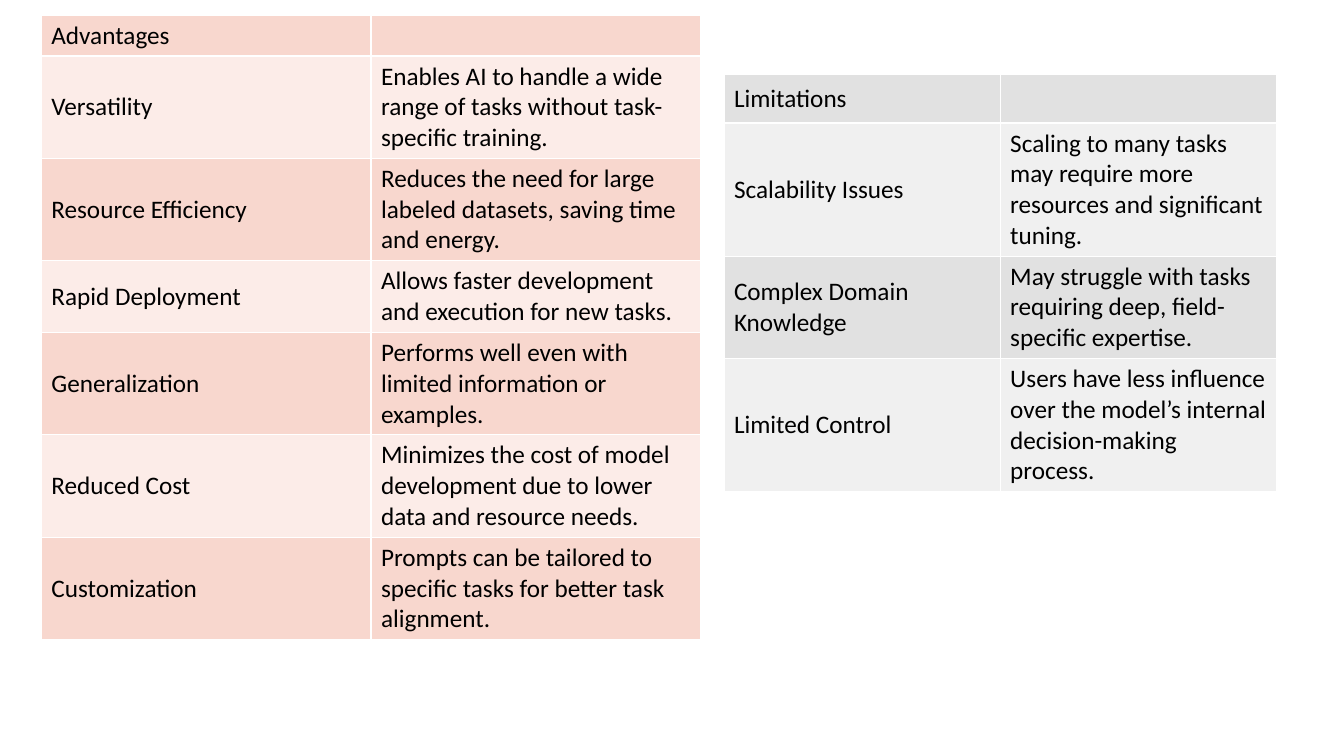
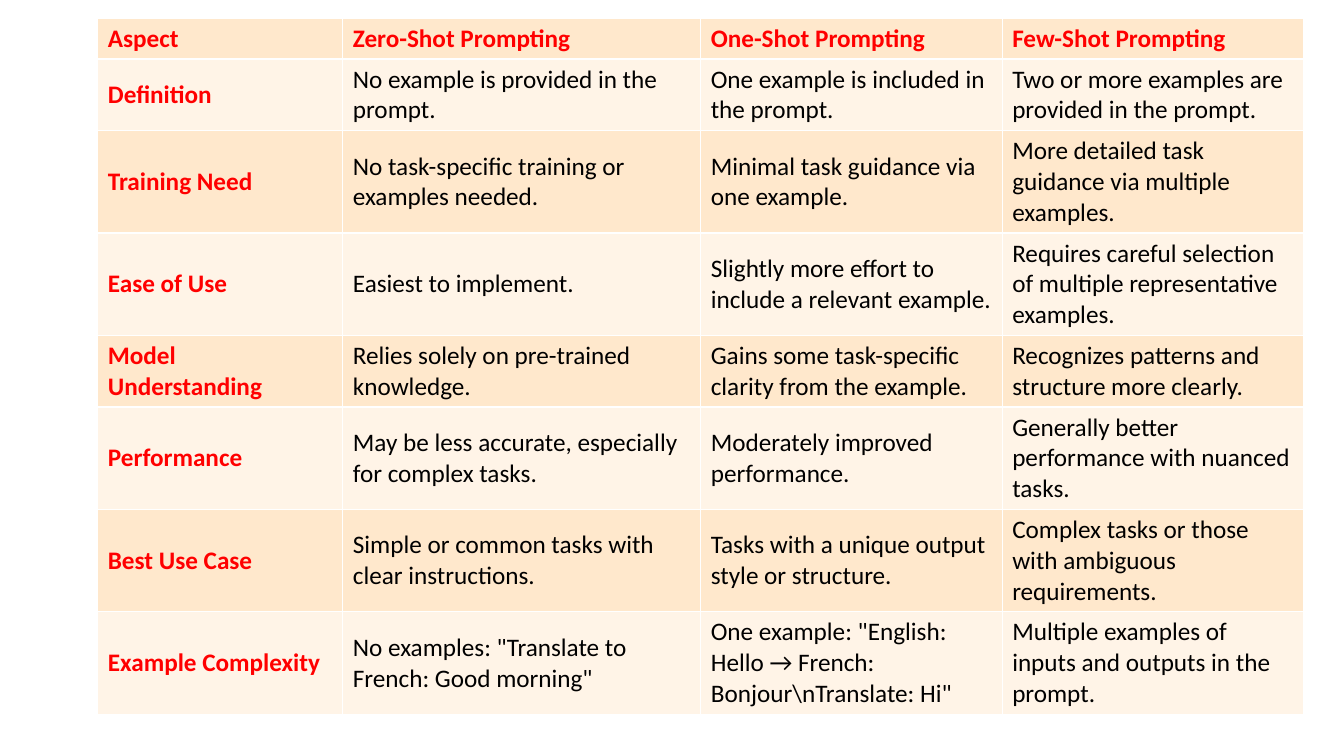
from dataclasses import dataclass

from lxml.etree import SubElement
from pptx import Presentation
from pptx.dml.color import RGBColor
from pptx.enum.text import MSO_ANCHOR
from pptx.oxml.ns import qn
from pptx.util import Inches, Pt

FONT = "Calibri"
BLACK, WHITE, RED = "000000", "FFFFFF", "FF0000"
BORDER_WIDTH = Pt(0.96)


@dataclass(frozen=True)
class TableData:
    left: float
    top: float
    columns: tuple[float, ...]
    heights: tuple[float, ...]
    bands: tuple[str, str]
    rows: tuple[tuple[str, ...], ...]
    red_labels: bool = False


ADVANTAGES = TableData(
    left=0.41, top=0.15,
    columns=(3.27, 3.27),
    heights=(0.4, 1, 1, 0.7, 1, 1, 1),
    bands=("F8D7CE", "FCECE8"),
    rows=(
        ("Advantages", ""),
        ("Versatility",
         "Enables AI to handle a wide range of tasks without task-specific training."),
        ("Resource Efficiency",
         "Reduces the need for large labeled datasets, saving time and energy."),
        ("Rapid Deployment",
         "Allows faster development and execution for new tasks."),
        ("Generalization",
         "Performs well even with limited information or examples."),
        ("Reduced Cost",
         "Minimizes the cost of model development due to lower data and resource needs."),
        ("Customization",
         "Prompts can be tailored to specific tasks for better task alignment."),
    ),
)

LIMITATIONS = TableData(
    left=7.18, top=0.74,
    columns=(2.74, 2.74),
    heights=(0.48, 1.3, 1, 1.3),
    bands=("E1E1E1", "F0F0F0"),
    rows=(
        ("Limitations", ""),
        ("Scalability Issues",
         "Scaling to many tasks may require more resources and significant tuning."),
        ("Complex Domain Knowledge",
         "May struggle with tasks requiring deep, field-specific expertise."),
        ("Limited Control",
         "Users have less influence over the model’s internal decision-making process."),
    ),
)

COMPARISON = TableData(
    left=0.97, top=0.18,
    columns=(2.43, 3.55, 2.99, 2.99),
    heights=(0.4, 0.7, 1, 1, 0.7, 1, 1, 1),
    bands=("FFE8CC", "FFF4E7"),
    red_labels=True,
    rows=(
        ("Aspect", "Zero-Shot Prompting", "One-Shot Prompting", "Few-Shot Prompting"),
        ("Definition",
         "No example is provided in the prompt.",
         "One example is included in the prompt.",
         "Two or more examples are provided in the prompt."),
        ("Training Need",
         "No task-specific training or examples needed.",
         "Minimal task guidance via one example.",
         "More detailed task guidance via multiple examples."),
        ("Ease of Use",
         "Easiest to implement.",
         "Slightly more effort to include a relevant example.",
         "Requires careful selection of multiple representative examples."),
        ("Model Understanding",
         "Relies solely on pre-trained knowledge.",
         "Gains some task-specific clarity from the example.",
         "Recognizes patterns and structure more clearly."),
        ("Performance",
         "May be less accurate, especially for complex tasks.",
         "Moderately improved performance.",
         "Generally better performance with nuanced tasks."),
        ("Best Use Case",
         "Simple or common tasks with clear instructions.",
         "Tasks with a unique output style or structure.",
         "Complex tasks or those with ambiguous requirements."),
        ("Example Complexity",
         'No examples: "Translate to French: Good morning"',
         'One example: "English: Hello → French: Bonjour\\nTranslate: Hi"',
         "Multiple examples of inputs and outputs in the prompt."),
    ),
)

SLIDES = ((ADVANTAGES, LIMITATIONS), (COMPARISON,))


def rgb(color: str) -> RGBColor:
    return RGBColor.from_string(color)


def write_text(tf, text: str, *, size: float = 18, color: str = BLACK,
               bold: bool = False) -> None:
    p = tf.paragraphs[0]
    p.font.size = Pt(size)
    if text:
        r = p.add_run()
        r.text = text
        r.font.name, r.font.size, r.font.bold = FONT, Pt(size), bold
        r.font.color.rgb = rgb(color)


def add_borders(cell, color: str = WHITE) -> None:
    tc_pr = cell._tc.get_or_add_tcPr()
    for side in ("L", "R", "T", "B"):
        line = SubElement(tc_pr, qn(f"a:ln{side}"), w=str(BORDER_WIDTH))
        fill = SubElement(line, qn("a:solidFill"))
        SubElement(fill, qn("a:srgbClr"), val=color)


def draw_table(s, data: TableData) -> None:
    """Draw a table whose rows alternate between the two band colours."""
    table = s.shapes.add_table(
        len(data.rows), len(data.columns), Inches(data.left), Inches(data.top),
        Inches(sum(data.columns)), Inches(sum(data.heights))).table
    table.first_row = table.horz_banding = False
    for column, width in zip(table.columns, data.columns):
        column.width = Inches(width)
    for i, (height, texts) in enumerate(zip(data.heights, data.rows)):
        table.rows[i].height = Inches(height)
        for j, text in enumerate(texts):
            cell = table.cell(i, j)
            add_borders(cell)
            cell.fill.solid()
            cell.fill.fore_color.rgb = rgb(data.bands[i % 2])
            cell.vertical_anchor = MSO_ANCHOR.MIDDLE
            is_label = data.red_labels and (i == 0 or j == 0)
            write_text(cell.text_frame, text,
                       color=RED if is_label else BLACK, bold=is_label)


def main() -> None:
    prs = Presentation()
    prs.slide_width, prs.slide_height = Inches(13.33), Inches(7.5)
    blank = prs.slide_layouts[6]
    for tables in SLIDES:
        s = prs.slides.add_slide(blank)
        for data in tables:
            draw_table(s, data)
    prs.save("out.pptx")


if __name__ == "__main__":
    main()
